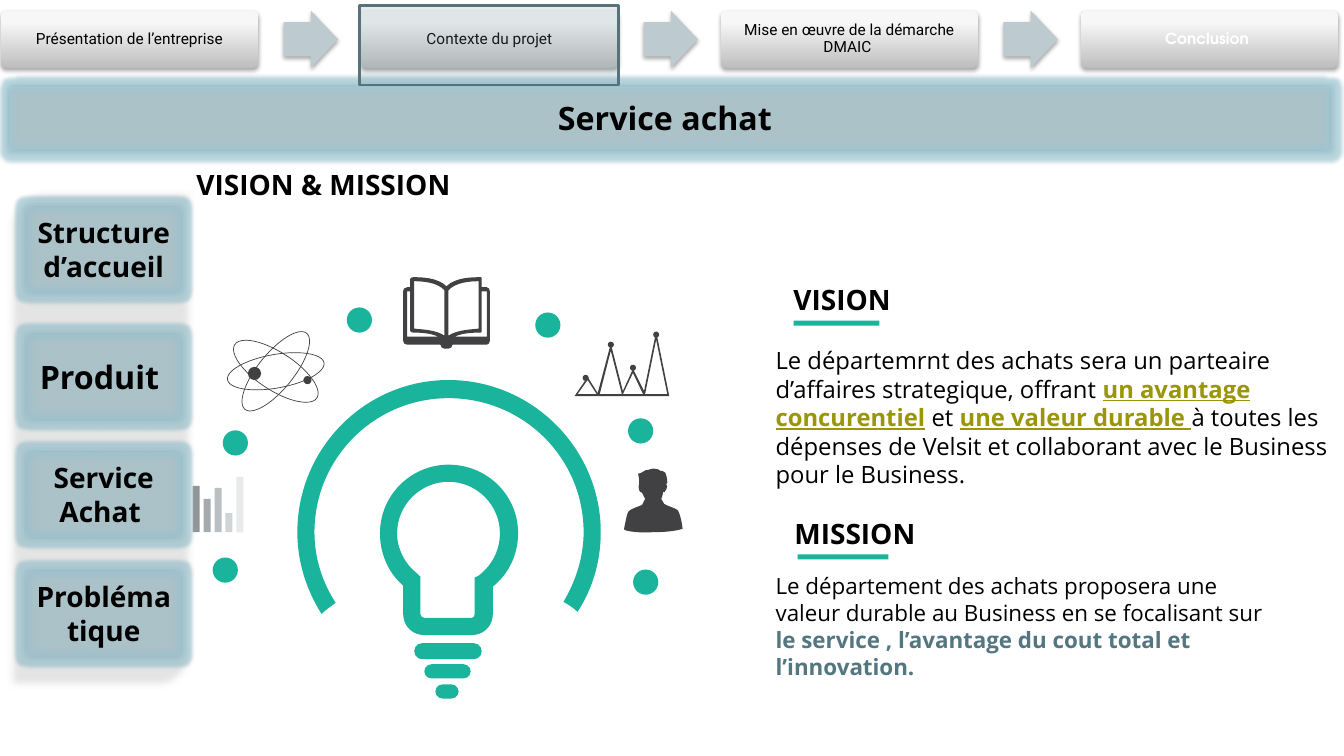
from lxml.etree import SubElement
from pptx import Presentation
from pptx.dml.color import RGBColor
from pptx.enum.shapes import MSO_SHAPE
from pptx.enum.text import MSO_ANCHOR, MSO_AUTO_SIZE, PP_ALIGN
from pptx.oxml.ns import qn
from pptx.util import Pt

COLORS = {
    "teal": "1AB49C", "icon": "414042", "black": "000000", "white": "FFFFFF",
    "olive": "9B950A", "slate": "537680", "block": "ACC2C9", "edge": "57727A",
    "glow": "8FBBC8", "arrow": "BDCACF", "tab dark": "BEBEBE", "tab light": "F7F7F7",
    "panel": "BFBFBF", "panel edge": "D9D9D9", "highlight": "759AA5",
}
BAR_COLORS = ["8F9599", "A5AAAD", "BCBFC2", "D2D5D6", "E9EAEB"]
DRAWING_UNIT = 0.72  # points per unit of the outlines below

# One string per contour; a pair is a line to a point, six numbers are a cubic curve.
BULB = [
    "468,630 421,630 409,630,400,621,400,609 400,581 385,568,377,549,377,529 "
    "377,491,408,461,445,461 483,461,514,491,514,529 514,550,505,569,489,582 "
    "489,609 489,621,480,630,468,630",
    "445,478 417,478,394,501,394,529 394,545,402,560,414,569 417,572 417,609 "
    "417,611,419,613,421,613 468,613 470,613,471,611,471,609 471,573 475,571 "
    "488,561,496,546,496,529 496,501,473,478,445,478",
]
HALO = [
    "333,598 320,578,312,554,312,528 312,454,372,395,445,395 519,395,579,454,579,528 "
    "579,553,571,577,559,597 564,600,569,603,573,607 588,584,596,557,596,528 "
    "596,445,528,377,445,377 362,377,295,445,295,528 295,558,304,585,319,609 "
    "323,605,328,602,333,598",
]
BOOK = [
    "483,334 451,334 460,330,471,330,477,330 478,330,478,329,478,328 478,289 483,289",
    "445,333 445,288 452,280,467,279,475,279 475,326 467,327,454,327,445,333",
    "441,333 432,327,419,327,411,326 411,279 419,279,434,280,441,288",
    "404,334 404,289 407,289 407,328 407,329,408,330,410,330 415,330,426,330,435,334",
    "483,285 478,285 478,277 478,276,478,275,477,275 469,275,452,275,443,284 "
    "434,275,417,275,410,275 408,275,407,276,407,277 407,285 404,285 "
    "401,285,400,287,400,289 400,338 400,340,401,342,404,342 437,342 "
    "437,344,439,346,441,346 445,346 447,346,449,344,449,342 483,342 "
    "485,342,486,340,486,338 486,289 486,287,485,285,483,285",
]
PEAKS = [
    "570,393 583,374 593,390 606,341 618,388 628,366 639,388 651,329 664,393",
    "640,391 662,391 651,337", "618,391 638,391 628,370",
    "595,391 617,391 606,348", "573,391 592,391 583,377",
]
PERSON = [
    "672,506 670,504,664,503,659,500 656,495 656,495,657,493,658,488 "
    "659,489,660,488,660,487 661,486,663,482,661,481 661,480,662,479,662,479 "
    "662,475,661,471,660,469 659,468,657,467,655,467 654,466,652,465,649,465 "
    "647,465,645,465,644,466 641,466,639,467,638,468 636,469,635,470,633,470 "
    "633,471,634,473,634,475 634,477,634,479,634,481 633,482,634,487,635,488 "
    "636,488,637,489,637,489 639,493,640,495,640,495 637,501 632,503,626,505,624,507 "
    "622,508,620,521,619,525 619,525,620,526,620,526 623,527,633,529,648,528 "
    "664,528,673,526,676,525 677,525,678,525,677,524 677,520,674,507,672,506",
]


def rgb(name):
    return RGBColor.from_string(COLORS.get(name, name))


def read_contour(contour):
    """Turn a contour string into segments, each a list of points in EMU ending at its target."""
    segments = []
    for segment in contour.split():
        numbers = [Pt(int(number) * DRAWING_UNIT) for number in segment.split(",")]
        segments.append(list(zip(numbers[::2], numbers[1::2])))
    return segments


def add_effect(shape, kind, color=None, alpha=100, **attributes):
    effects = shape._element.spPr.find(qn("a:effectLst"))
    effect = SubElement(effects, qn(f"a:{kind}"), {k: str(v) for k, v in attributes.items()})
    if color:
        value = SubElement(effect, qn("a:srgbClr"), val=COLORS[color])
        SubElement(value, qn("a:alpha"), val=str(alpha * 1000))


def write(box, *spans, size=20, font="Open Sans", color="black", bold=False, align=PP_ALIGN.LEFT,
          anchor=MSO_ANCHOR.MIDDLE, spacing=1.0, insets=(7.2, 3.6)):
    """Fill a box with one paragraph; a span is a text or (text, colour, bold, underline)."""
    frame = box.text_frame
    frame.word_wrap, frame.auto_size = True, MSO_AUTO_SIZE.NONE
    frame.vertical_anchor = anchor
    frame.margin_left = frame.margin_right = Pt(insets[0])
    frame.margin_top = frame.margin_bottom = Pt(insets[1])
    paragraph = frame.paragraphs[0]
    paragraph.alignment, paragraph.line_spacing = align, spacing
    paragraph.space_before = Pt(0)
    for span in spans:
        text, tint, heavy, underline = (span, color, bold, False) if isinstance(span, str) else span
        run = paragraph.add_run()
        run.text = text
        run.font.name, run.font.size = font, Pt(size)
        run.font.bold, run.font.underline = heavy, underline
        run.font.color.rgb = rgb(tint)


class Page:
    def __init__(self, deck):
        self.slide = deck.slides.add_slide(deck.slide_layouts.get_by_name("Comparison"))
        self.shapes = self.slide.shapes

    def style(self, shape, fill=None, line=None, weight=2, alpha=100):
        shape.shadow.inherit = False
        if fill:
            shape.fill.solid()
            shape.fill.fore_color.rgb = rgb(fill)
            if alpha < 100:
                value = shape._element.spPr.find(qn("a:solidFill"))[0]
                SubElement(value, qn("a:alpha"), val=str(alpha * 1000))
        else:
            shape.fill.background()
        if line:
            shape.line.color.rgb = rgb(line)
            shape.line.width = Pt(weight)
        else:
            shape.line.fill.background()
        return shape

    def shape(self, kind, left, top, width, height, adjust=(), **style):
        shape = self.shapes.add_shape(kind, Pt(left), Pt(top), Pt(width), Pt(height))
        for index, value in enumerate(adjust):
            shape.adjustments[index] = value
        return self.style(shape, **style)

    def disc(self, left, top, size, fill):
        self.shape(MSO_SHAPE.OVAL, left, top, size, size, fill=fill)

    def outline(self, contours, fill):
        """Build the contours with straight sides, then bend the sides that have control points."""
        parts = [read_contour(contour) for contour in contours]
        builder = self.shapes.build_freeform(*parts[0][0][-1], scale=1.0)
        for index, (start, *sides) in enumerate(parts):
            if index:
                builder.move_to(*start[-1])
            builder.add_line_segments([side[-1] for side in sides], close=True)
        shape = self.style(builder.convert_to_shape(), fill=fill)
        nodes = list(shape._element.iter(qn("a:lnTo")))
        all_sides = [side for part in parts for side in part[1:]]
        for node, side in zip(nodes, all_sides):
            if len(side) == 1:
                continue
            node.tag = qn("a:cubicBezTo")
            node.remove(node[0])
            for x, y in side:
                SubElement(node, qn("a:pt"), x=str(x - shape.left), y=str(y - shape.top))

    def placeholder(self, index, left, top, width, height, *spans, **text_format):
        box = self.slide.placeholders[index]
        box.left, box.top, box.width, box.height = Pt(left), Pt(top), Pt(width), Pt(height)
        properties = box.text_frame.paragraphs[0]._p.get_or_add_pPr()
        properties.set("marL", "0")
        properties.set("indent", "0")
        SubElement(properties, qn("a:buNone"))
        write(box, *spans, **text_format)

    def tab(self, left, text, **text_format):
        tab = self.shape(MSO_SHAPE.ROUNDED_RECTANGLE, left, 7.6, 183.6, 41, adjust=[0.1])
        tab.fill.gradient()
        tab.fill.gradient_angle = 90
        for stop, color, position in zip(tab.fill.gradient_stops, ("tab dark", "tab light"), (0, 0.8)):
            stop.color.rgb, stop.position = rgb(color), position
        self.drop_shadow(tab)
        write(tab, text, size=11, align=PP_ALIGN.CENTER, spacing=0.9, insets=(3.6, 3.6), **text_format)

    def drop_shadow(self, shape):
        add_effect(shape, "outerShdw", "black", 35, blurRad=Pt(3.1), dist=Pt(1.8), dir=5400000, rotWithShape=0)

    def glowing_block(self, left, top, width, height, text, size):
        block = self.shape(MSO_SHAPE.RECTANGLE, left, top, width, height, fill="block", line="edge")
        add_effect(block, "glow", "glow", 60, rad=Pt(5))
        add_effect(block, "softEdge", rad=Pt(5))
        write(block, text, size=size, bold=True, align=PP_ALIGN.CENTER)


def draw_idea_icons(page):
    page.outline(BULB, "teal")
    for left, top, width, height in [(295.9, 459.4, 48.2, 11.5), (303.1, 474.5, 33.1, 10.1),
                                     (311, 488.9, 16.6, 10.1)]:
        page.shape(MSO_SHAPE.ROUNDED_RECTANGLE, left, top, width, height, adjust=[0.5], fill="teal")
    page.outline(HALO, "teal")
    for contours in (BOOK, PEAKS, PERSON):
        page.outline(contours, "icon")
    for left, top in [(416.2, 267.8), (434.2, 244.1), (450, 260.6), (466.6, 236.9)]:
        page.disc(left, top, 4.3, "icon")
    for height, angle in [(24, -10), (27, 33), (25.5, -51)]:
        orbit = page.shape(MSO_SHAPE.OVAL, 162, 265.2 - height / 2, 70, height, line="icon", weight=0.5)
        orbit.rotation = angle
    page.disc(177.1, 262.1, 9.4, "icon")
    page.disc(216.7, 268.6, 5.8, "icon")
    for left, top in [(448.6, 298.8), (151.9, 398.2), (159.1, 307.4), (247.7, 219.6),
                      (382.3, 223.2), (452.2, 406.8)]:
        page.disc(left, top, 18, "teal")
    for index, (height, color) in enumerate(zip([33.1, 23.8, 31.7, 13.7, 39.6], BAR_COLORS)):
        page.shape(MSO_SHAPE.RECTANGLE, 137.7 + 7.8 * index, 380.2 - height, 5, height, fill=color)


def draw_statements(page):
    top = {"anchor": MSO_ANCHOR.TOP, "insets": (9.4, 4.3)}
    page.placeholder(0, 69.1, 99.4, 324, 48.2, "VISION & MISSION", bold=True,
                     align=PP_ALIGN.CENTER, anchor=MSO_ANCHOR.BOTTOM, insets=(0, 3.6))
    page.placeholder(1, 557.3, 197.3, 234, 18, "VISION", bold=True, **top)
    page.placeholder(3, 558, 364.3, 234, 18, "MISSION", bold=True, **top)
    page.placeholder(
        2, 544.6, 242.6, 424.1, 110.9,
        "Le départemrnt des achats sera un parteaire d’affaires strategique, offrant ",
        ("un avantage concurentiel", "olive", True, True), " et ",
        ("une valeur durable ", "olive", True, True),
        "à toutes les dépenses de Velsit et collaborant avec le Business pour le Business.",
        size=17, **top)
    page.placeholder(
        4, 544.6, 404.6, 367.9, 98.6,
        "Le département des achats proposera une valeur durable au Business en se focalisant sur ",
        ("le service , l’avantage du cout total et l’innovation.", "slate", True, False),
        size=16, **top)
    page.shape(MSO_SHAPE.RECTANGLE, 566.9, 229, 61.2, 3.6, fill="teal")
    page.shape(MSO_SHAPE.RECTANGLE, 569.8, 396, 64.8, 3.6, fill="teal")


def draw_navigation(page):
    steps = ["Présentation de l’entreprise", "Contexte du projet", "Mise en œuvre de la démarche DMAIC "]
    for index, step in enumerate(steps):
        page.tab(0.7 + 257.1 * index, step, font="Roboto")
        arrow = page.shape(MSO_SHAPE.RIGHT_ARROW, 202.6 + 257.1 * index, 7.6, 38.9, 41,
                           adjust=[0.6, 0.5], fill="arrow")
        page.drop_shadow(arrow)
    page.tab(0.7 + 257.1 * len(steps), "Conclusion ", font="TeX Gyre Adventor", color="white", bold=True)

    panel = page.shape(MSO_SHAPE.ROUND_2_DIAG_RECTANGLE, 5.8, 135.4, 131.8, 356.4,
                       fill="panel", alpha=41, line="panel edge")
    add_effect(panel, "softEdge", rad=Pt(5))
    for top, text, size in [(146.9, "Structure d’accueil", 20), (237.6, "Produit ", 23),
                            (321.8, "Service Achat ", 20), (406.8, "Problématique", 20)]:
        page.glowing_block(18, top, 112.3, 62.6, text, size)
    page.glowing_block(5.8, 60.5, 944.6, 46.8, "Service achat ", 23)
    page.shape(MSO_SHAPE.RECTANGLE, 256.6, 3.9, 185, 56.9, fill="highlight", alpha=18, line="edge")


def main():
    deck = Presentation()
    deck.slide_width, deck.slide_height = Pt(960), Pt(540)
    page = Page(deck)
    draw_statements(page)
    draw_idea_icons(page)
    draw_navigation(page)
    deck.save("out.pptx")


if __name__ == "__main__":
    main()
